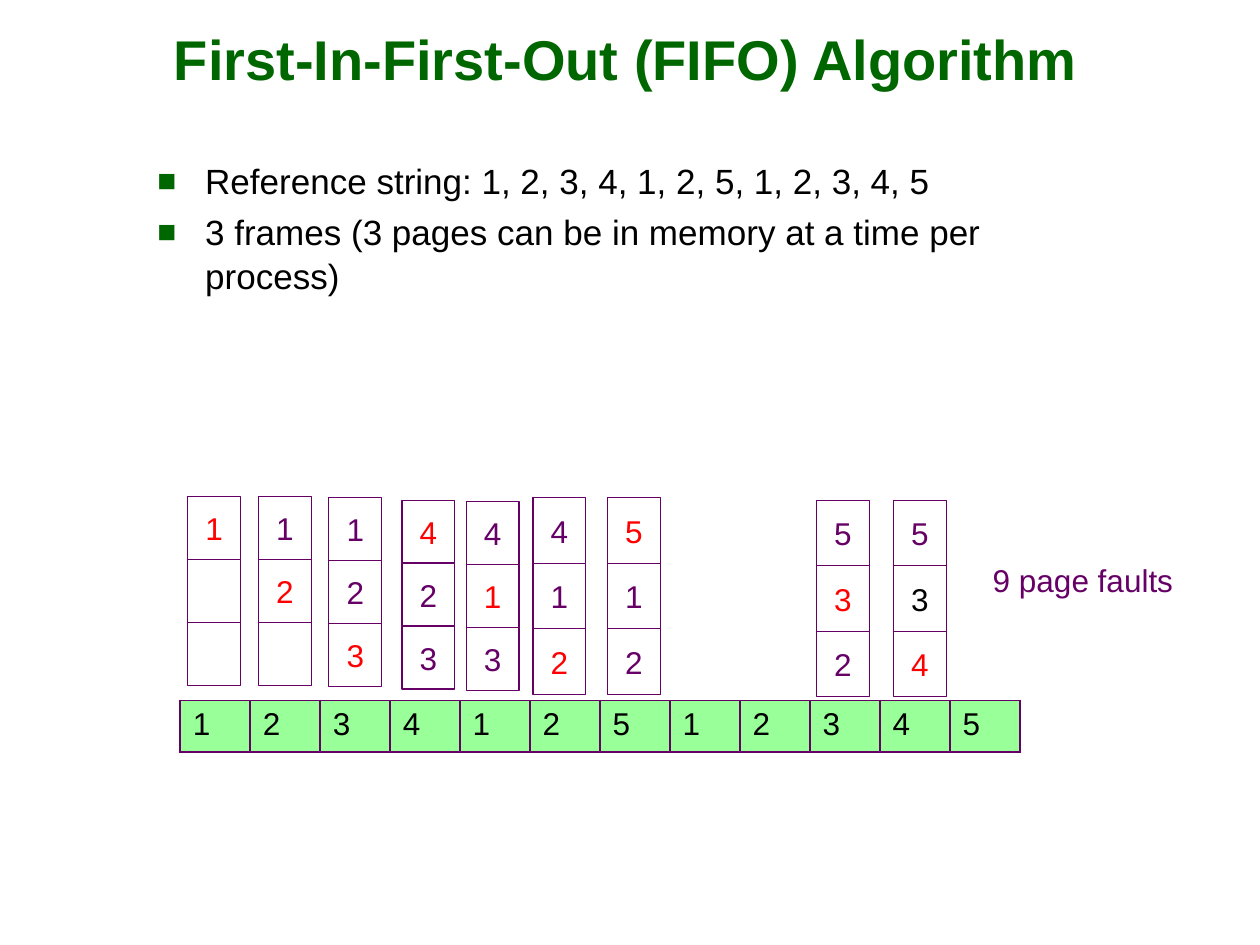
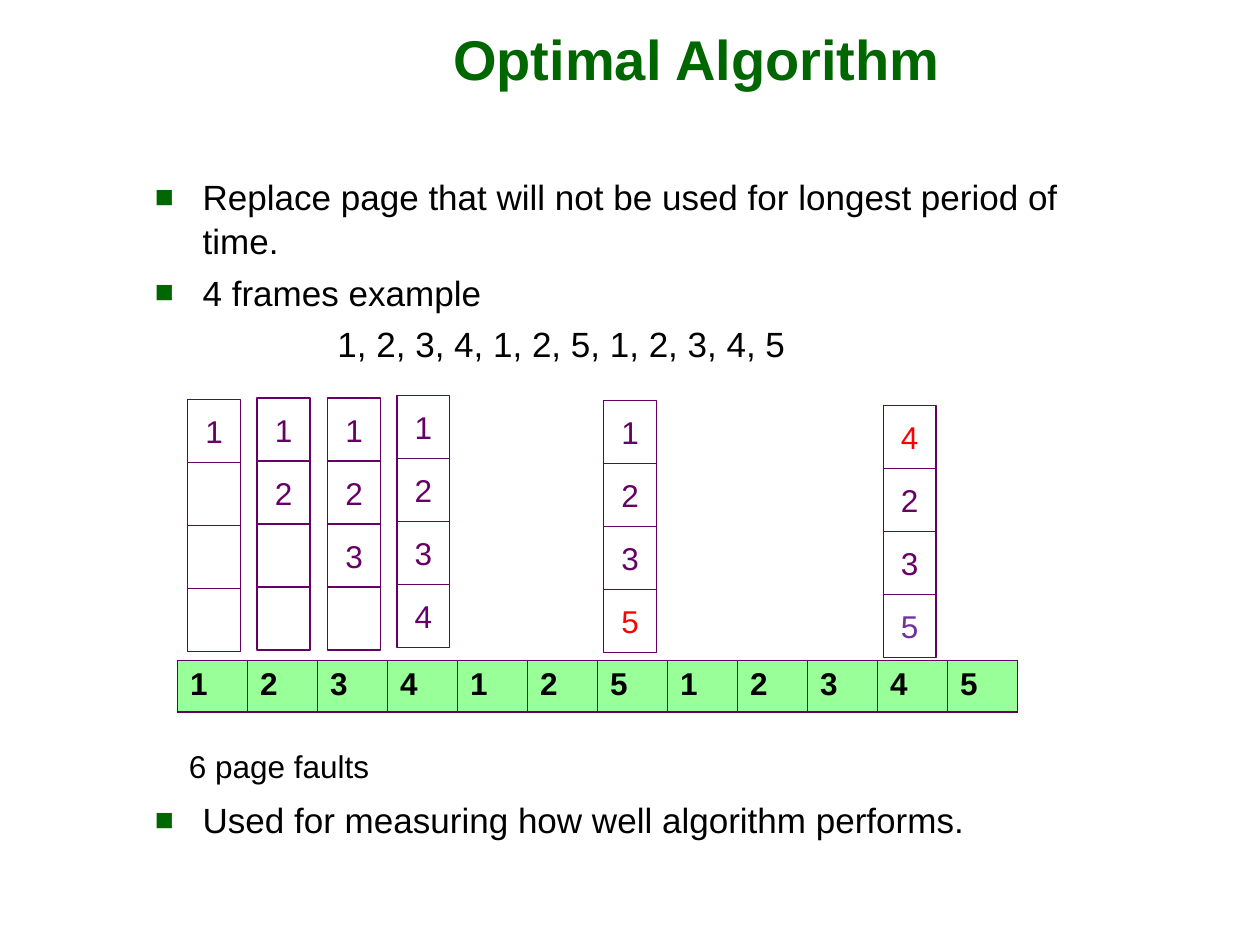
from dataclasses import dataclass

from lxml import etree
from pptx import Presentation
from pptx.dml.color import RGBColor
from pptx.enum.shapes import MSO_SHAPE
from pptx.enum.text import MSO_ANCHOR, MSO_AUTO_SIZE, PP_ALIGN
from pptx.oxml.ns import qn
from pptx.util import Inches, Pt

LEFT, CENTER = PP_ALIGN.LEFT, PP_ALIGN.CENTER
MIDDLE = MSO_ANCHOR.MIDDLE
FIXED = MSO_AUTO_SIZE.NONE
RECT = MSO_SHAPE.RECTANGLE

FONT = "Arial"
COLORS = {
    "green": "006600",
    "plum": "660066",
    "red": "FF0000",
    "black": "000000",
    "violet": "7030A0",
    "white": "FFFFFF",
    "mint": "99FF99",
}
TONES = {"p": "plum", "r": "red", "k": "black", "v": "violet"}

PAGES = "123412512345"  # reference string
CELL = 0.42  # width of a frame
STEP = 6.67 / len(PAGES)  # width of a table column
ROW = 0.41
HANG = 0.38


@dataclass
class Stack:
    """Memory frames after one reference; a space is an empty frame."""
    left: float
    top: float
    pages: str
    tones: str
    high: float = 0.5


@dataclass
class Item:
    """A body line; a line without a bullet is indented instead."""
    text: str
    bullet: bool = True
    indent: float = HANG


def rgb(name: str) -> RGBColor:
    return RGBColor.from_string(COLORS[name])


def style(para, size: int, color: str, align=LEFT, bold: bool = False) -> None:
    para.alignment = align
    for run in para.runs:
        font = run.font
        font.name, font.size, font.bold = FONT, Pt(size), bold
        font.color.rgb = rgb(color)


def add_title(slide, text: str, align) -> None:
    title = slide.shapes.title
    title.left, title.top = Inches(1.28), Inches(0)
    title.width, title.height = Inches(8.5), Inches(0.92)
    frame = title.text_frame
    frame.text = text
    frame.auto_size = FIXED
    frame.vertical_anchor = MIDDLE
    style(frame.paragraphs[0], 32, "green", align, True)


def add_bullet(props) -> None:
    color = etree.SubElement(props, qn("a:buClr"))
    etree.SubElement(color, qn("a:srgbClr"), val=COLORS["green"])
    etree.SubElement(props, qn("a:buSzPct"), val="90000")
    etree.SubElement(props, qn("a:buFont"), typeface=FONT)
    etree.SubElement(props, qn("a:buChar"), char="\u25a0")


def add_body(slide, left: float, top: float, width: float, high: float,
             items: list[Item]) -> None:
    box = slide.shapes.add_textbox(Inches(left), Inches(top),
                                   Inches(width), Inches(high))
    frame = box.text_frame
    frame.word_wrap = True
    for i, item in enumerate(items):
        para = frame.add_paragraph() if i else frame.paragraphs[0]
        para.text = item.text
        para.line_spacing = 1.05
        para.space_before = Pt(4)
        style(para, 20, "black")
        props = para._p.get_or_add_pPr()
        props.set("marL", str(Inches(item.indent)))
        if item.bullet:
            props.set("indent", str(-Inches(HANG)))
            add_bullet(props)


def add_note(slide, left: float, top: float, text: str, color: str) -> None:
    box = slide.shapes.add_textbox(Inches(left), Inches(top),
                                   Inches(1.63), Inches(0.4))
    frame = box.text_frame
    frame.text = text
    frame.word_wrap = False
    frame.vertical_anchor = MIDDLE
    style(frame.paragraphs[0], 18, color, CENTER)


def add_stack(slide, stack: Stack) -> None:
    group = slide.shapes.add_group_shape()
    for i, (page, tone) in enumerate(zip(stack.pages, stack.tones)):
        box = group.shapes.add_shape(
            RECT, Inches(stack.left), Inches(stack.top + i * stack.high),
            Inches(CELL), Inches(stack.high))
        box.shadow.inherit = False
        box.fill.solid()
        box.fill.fore_color.rgb = rgb("white")
        box.line.color.rgb = rgb("plum")
        box.line.width = Pt(0.75)
        if page != " ":
            frame = box.text_frame
            frame.text = page
            frame.word_wrap = False
            frame.vertical_anchor = MIDDLE
            style(frame.paragraphs[0], 18, TONES[tone], CENTER)


def add_border(cell) -> None:
    props = cell._tc.get_or_add_tcPr()
    for side in ("a:lnL", "a:lnR", "a:lnT", "a:lnB"):
        line = etree.SubElement(props, qn(side), w=str(Pt(1)))
        fill = etree.SubElement(line, qn("a:solidFill"))
        etree.SubElement(fill, qn("a:srgbClr"), val=COLORS["plum"])


def add_pages(slide, left: float, top: float, bold: bool) -> None:
    table = slide.shapes.add_table(
        1, len(PAGES), Inches(left), Inches(top),
        Inches(STEP * len(PAGES)), Inches(ROW)).table
    table.first_row = table.horz_banding = False
    for col, page in enumerate(PAGES):
        table.columns[col].width = Inches(STEP)
        cell = table.cell(0, col)
        add_border(cell)
        cell.fill.solid()
        cell.fill.fore_color.rgb = rgb("mint")
        cell.text_frame.text = page
        style(cell.text_frame.paragraphs[0], 18, "black", LEFT, bold)


deck = Presentation()
deck.slide_width, deck.slide_height = Inches(10), Inches(7.5)
layout = deck.slide_layouts[5]  # title only
order = ", ".join(PAGES)

# Slide 1: FIFO with three frames
fifo = deck.slides.add_slide(layout)
add_title(fifo, "First-In-First-Out (FIFO) Algorithm", LEFT)
add_body(fifo, 1.15, 1.2, 7.69, 6.08, [
    Item(f"Reference string: {order}"),
    Item("3 frames (3 pages can be in memory at a time per process)"),
])
add_note(fifo, 7.78, 4.4, "9 page faults", "plum")
add_pages(fifo, 1.43, 5.56, False)
for stack in (
    Stack(1.49, 3.94, "1  ", "rpp"),
    Stack(2.05, 3.94, "12 ", "prp"),
    Stack(2.61, 3.95, "123", "ppr"),
    Stack(3.19, 3.97, "423", "rpp"),
    Stack(3.7, 3.98, "413", "prp"),
    Stack(4.23, 3.95, "412", "ppr", 0.52),
    Stack(4.82, 3.95, "512", "rpp", 0.52),
    Stack(6.48, 3.97, "532", "prp", 0.52),
    Stack(7.09, 3.97, "534", "pkr", 0.52),
):
    add_stack(fifo, stack)

# Slide 2: optimal replacement with four frames
best = deck.slides.add_slide(layout)
add_title(best, "Optimal Algorithm", CENTER)
add_body(best, 1.13, 1.33, 7.85, 1.6, [
    Item("Replace page that will not be used for longest period of time."),
    Item("4 frames example"),
    Item(order, False, 1.45),
])
add_body(best, 1.13, 6.27, 7.85, 0.5, [
    Item("Used for measuring how well algorithm performs."),
])
add_note(best, 1.4, 5.88, "6 page faults", "black")
add_pages(best, 1.41, 5.24, True)
for stack in (
    Stack(1.49, 3.17, "1   ", "pppp"),
    Stack(2.04, 3.16, "12  ", "pppp"),
    Stack(2.6, 3.16, "123 ", "pppp"),
    Stack(3.15, 3.14, "1234", "pppp"),
    Stack(4.79, 3.18, "1235", "pppr"),
    Stack(7.01, 3.22, "4235", "rppv"),
):
    add_stack(best, stack)

deck.save("out.pptx")
